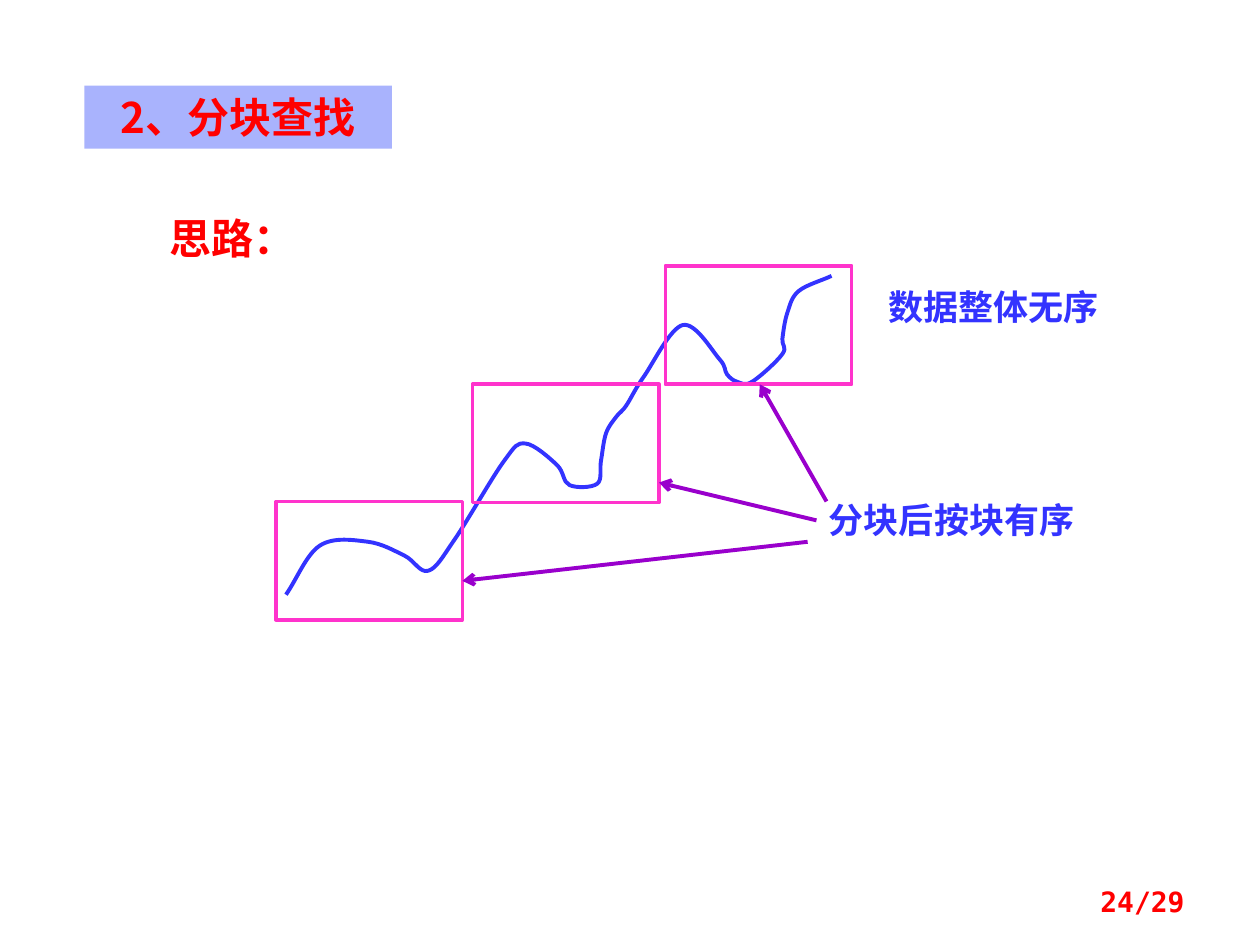
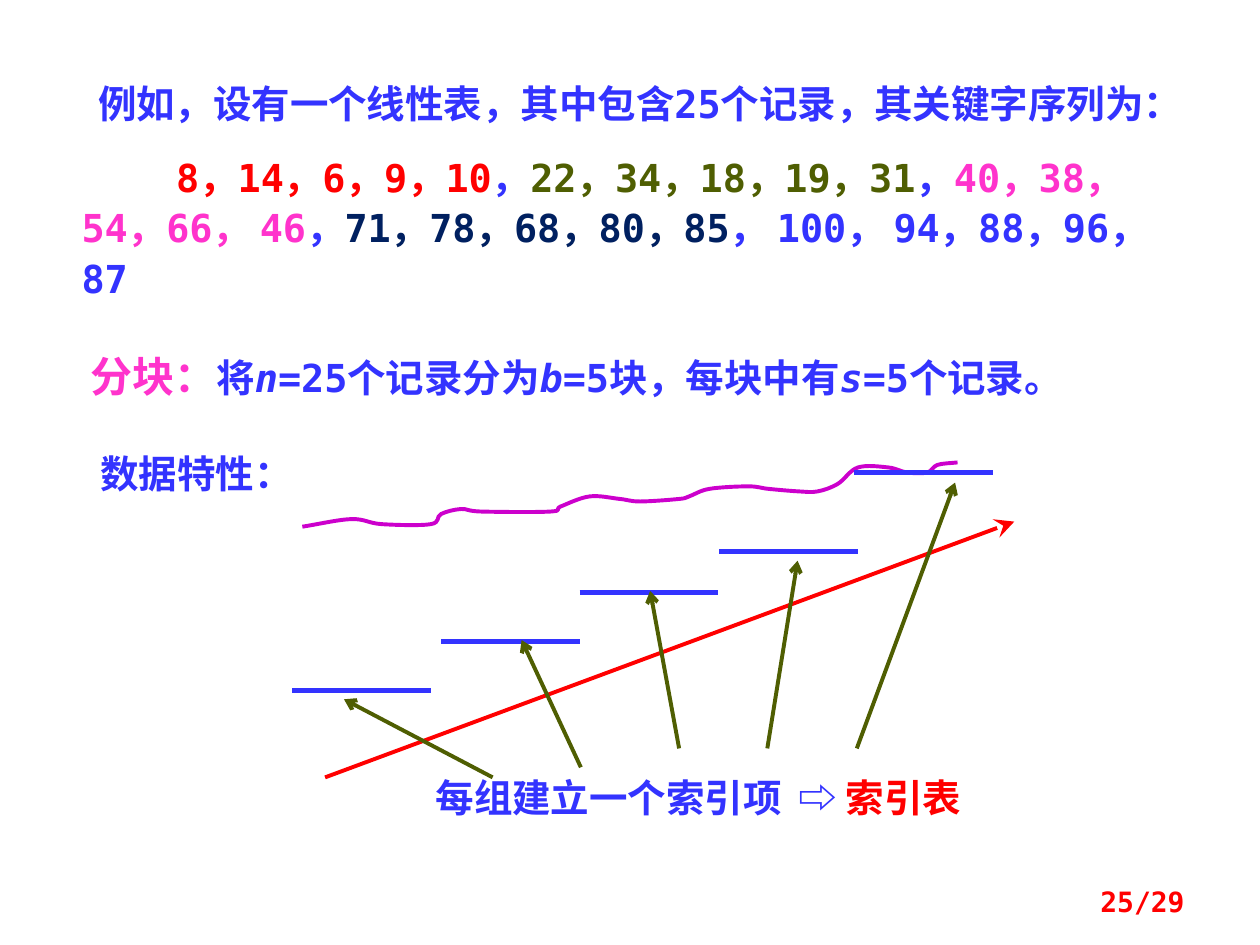
from dataclasses import dataclass
from typing import NamedTuple

from lxml import etree
from pptx import Presentation
from pptx import util as u
from pptx.dml.color import RGBColor
from pptx.enum import shapes, text
from pptx.oxml import ns

# Shared look
RED = RGBColor(0xFF, 0x00, 0x00)
BLUE = RGBColor(0x33, 0x33, 0xFF)
PINK = RGBColor(0xFF, 0x33, 0xCC)
PURPLE = RGBColor(0x99, 0x00, 0xCC)
MAGENTA = RGBColor(0xCC, 0x00, 0xCC)
OLIVE = RGBColor(0x4F, 0x5E, 0x02)
NAVY = RGBColor(0x00, 0x20, 0x60)
BAND = RGBColor(0xA9, 0xB3, 0xFD)
HAN = "Noto Sans CJK SC"
MONO = "DejaVu Sans Mono"
PAGE_COUNT = 29
TITLE_ONLY, BLANK = 5, 6


class Point(NamedTuple):
    x: float
    y: float


class Area(NamedTuple):
    left: float
    top: float
    width: float
    height: float

    def inches(self) -> list:
        return [u.Inches(value) for value in self]


class Span(NamedTuple):
    text: str
    color: RGBColor | None = None
    size: float | None = None
    italic: bool = False


@dataclass
class Para:
    spans: list[Span]
    size: float
    color: RGBColor = BLUE
    font: str = HAN
    align: text.PP_ALIGN = text.PP_ALIGN.LEFT
    indent: float = 0
    tab: float = 0
    before: float = 0
    spacing: float | None = None


@dataclass
class Line:
    start: Point
    end: Point
    color: RGBColor
    width: float = 2.25
    head: str = ""
    head_size: str = "med"


# Text
def fill_para(para, content: Para) -> None:
    props = para._p.get_or_add_pPr()
    if content.indent:
        props.set("marL", "0")
        props.set("indent", str(u.Inches(content.indent)))
    if content.spacing:
        para.line_spacing = content.spacing
    if content.before:
        para.space_before = u.Pt(content.before)
    if content.tab:
        stops = etree.SubElement(props, ns.qn("a:tabLst"))
        etree.SubElement(stops, ns.qn("a:tab"), pos=str(u.Inches(content.tab)), algn="l")
    para.alignment = content.align
    para.font.size = u.Pt(content.size)
    para.font.bold = True
    para.font.color.rgb = content.color
    para.font.name = content.font
    defaults = props.find(ns.qn("a:defRPr"))
    etree.SubElement(defaults, ns.qn("a:ea"), typeface=HAN)
    for span in content.spans:
        run = para.add_run()
        run.text = span.text
        if span.color is not None:
            run.font.color.rgb = span.color
        if span.size:
            run.font.size = u.Pt(span.size)
        if span.italic:
            run.font.italic = True


def fill_frame(box, paras: list[Para], anchor=text.MSO_ANCHOR.TOP) -> None:
    frame = box.text_frame
    frame.word_wrap = True
    frame.auto_size = text.MSO_AUTO_SIZE.NONE
    frame.vertical_anchor = anchor
    for index, content in enumerate(paras):
        fill_para(frame.add_paragraph() if index else frame.paragraphs[0], content)


def add_text(page, area: Area, *paras: Para, anchor=text.MSO_ANCHOR.TOP) -> None:
    fill_frame(page.shapes.add_textbox(*area.inches()), list(paras), anchor)


def add_title(page, area: Area, wording: str) -> None:
    title = page.shapes.title
    title.left, title.top, title.width, title.height = area.inches()
    title.fill.solid()
    title.fill.fore_color.rgb = BAND
    para = Para([Span(wording)], 24, RED, align=text.PP_ALIGN.CENTER)
    fill_frame(title, [para], text.MSO_ANCHOR.MIDDLE)


def add_page_number(page, number: int) -> None:
    para = Para([Span(f"{number}/{PAGE_COUNT}")], 16, RED, MONO, text.PP_ALIGN.RIGHT)
    add_text(page, Area(7.17, 6.95, 2.33, 0.4), para, anchor=text.MSO_ANCHOR.MIDDLE)


# Drawing
def add_line(page, line: Line) -> None:
    ends = [u.Inches(value) for value in (*line.start, *line.end)]
    connector = page.shapes.add_connector(shapes.MSO_CONNECTOR.STRAIGHT, *ends)
    connector.line.color.rgb = line.color
    connector.line.width = u.Pt(line.width)
    if line.head:
        size = line.head_size
        outline = connector.line._get_or_add_ln()
        etree.SubElement(outline, ns.qn("a:tailEnd"), type=line.head, w=size, len=size)
    etree.SubElement(connector._element.spPr, ns.qn("a:effectLst"))


def add_block(page, area: Area) -> None:
    block = page.shapes.add_shape(shapes.MSO_SHAPE.RECTANGLE, *area.inches())
    block.shadow.inherit = False
    block.fill.background()
    block.line.color.rgb = PINK
    block.line.width = u.Pt(2)


def bend(outline) -> None:
    """Turn the straight segments of a freeform into a Catmull-Rom curve."""
    knots = [Point(int(pt.get("x")), int(pt.get("y"))) for pt in outline.iter(ns.qn("a:pt"))]
    first = Point(2 * knots[0].x - knots[1].x, 2 * knots[0].y - knots[1].y)
    last = Point(2 * knots[-1].x - knots[-2].x, 2 * knots[-1].y - knots[-2].y)
    chain = [first, *knots, last]
    segments = list(outline.iter(ns.qn("a:lnTo")))
    for segment, a, b, c, d in zip(segments, chain, chain[1:], chain[2:], chain[3:]):
        leave = Point(b.x + (c.x - a.x) / 6, b.y + (c.y - a.y) / 6)
        arrive = Point(c.x - (d.x - b.x) / 6, c.y - (d.y - b.y) / 6)
        cubic = etree.Element(ns.qn("a:cubicBezTo"))
        for point in (leave, arrive, c):
            etree.SubElement(cubic, ns.qn("a:pt"), x=str(round(point.x)), y=str(round(point.y)))
        segment.getparent().replace(segment, cubic)


def add_curve(page, knots: list[tuple[float, float]], color: RGBColor) -> None:
    points = [(u.Inches(x), u.Inches(y)) for x, y in knots]
    builder = page.shapes.build_freeform(*points[0])
    builder.add_line_segments(points[1:], close=False)
    curve = builder.convert_to_shape()
    bend(curve._element.spPr)
    curve.shadow.inherit = False
    curve.fill.background()
    curve.line.color.rgb = color
    curve.line.width = u.Pt(2.25)


# Slide content
BLOCK_CORNERS = [(2.19, 3.98), (3.75, 3.05), (5.28, 2.11)]
BLOCK_CURVE = [
    (2.27, 4.72), (2.54, 4.33), (2.92, 4.3), (3.21, 4.41), (3.4, 4.53), (3.61, 4.28),
    (4, 3.66), (4.17, 3.52), (4.42, 3.69), (4.52, 3.85), (4.74, 3.84), (4.77, 3.66),
    (4.81, 3.44), (4.89, 3.31), (4.97, 3.22), (5.11, 2.99), (5.42, 2.58), (5.71, 2.85),
    (5.77, 2.97), (5.85, 3.03), (5.97, 3.03), (6.21, 2.81), (6.21, 2.69), (6.25, 2.48),
    (6.34, 2.31), (6.6, 2.19),
]
BLOCK_ARROWS = [
    (Point(6.41, 4.3), Point(3.67, 4.61)),
    (Point(6.48, 4.13), Point(5.23, 3.83)),
    (Point(6.56, 3.98), Point(6.03, 3.05)),
]
DATA_CURVE = [
    (2.4, 4.18), (2.79, 4.12), (3.03, 4.16), (3.42, 4.16), (3.5, 4.08), (3.66, 4.04),
    (3.82, 4.06), (4.37, 4.06), (4.45, 4.02), (4.68, 3.94), (4.92, 3.96), (5.08, 3.98),
    (5.39, 3.96), (5.47, 3.94), (5.63, 3.88), (5.94, 3.86), (6.1, 3.88), (6.34, 3.9),
    (6.49, 3.9), (6.65, 3.84), (6.81, 3.71), (7.05, 3.71), (7.2, 3.75), (7.36, 3.75),
    (7.44, 3.69), (7.6, 3.67),
]
STEP_WIDTH = 1.1
STEPS = [Point(2.32, 5.48), Point(3.5, 5.09), Point(4.6, 4.7), Point(5.71, 4.38), Point(6.78, 3.75)]
INDEX_ARROWS = [
    (Point(3.91, 6.17), Point(2.73, 5.55)),
    (Point(4.61, 6.09), Point(4.14, 5.08)),
    (Point(5.39, 5.94), Point(5.16, 4.69)),
    (Point(6.09, 5.94), Point(6.33, 4.45)),
    (Point(6.8, 5.94), Point(7.58, 3.83)),
]
KEYS = [
    Span("8，14，6，9，10", RED), Span("，"),
    Span("22，34，18，19，31", OLIVE), Span("，"),
    Span("40，38，54，66， 46", PINK), Span("，"),
    Span("71，78，68，80，85", NAVY), Span("， 100， 94，88，96，87"),
]
SPLIT = [
    Span("分块：", PINK, 24), Span("将"), Span("n", italic=True), Span("=25个记录分为"),
    Span("b", italic=True), Span("=5块，每块中有"), Span("s", italic=True), Span("=5个记录。"),
]


def build_idea(deck) -> None:
    page = deck.slides.add_slide(deck.slide_layouts[TITLE_ONLY])
    add_title(page, Area(0.67, 0.68, 2.44, 0.5), "2、分块查找")
    add_text(page, Area(1.25, 1.64, 1.52, 0.5), Para([Span("思路：")], 24, RED))
    add_curve(page, BLOCK_CURVE, BLUE)
    for left, top in BLOCK_CORNERS:
        add_block(page, Area(left, top, 1.48, 0.94))
    add_text(page, Area(6.95, 2.22, 2.11, 0.44), Para([Span("数据整体无序")], 20))
    add_text(page, Area(6.48, 3.91, 2.58, 0.44), Para([Span("分块后按块有序")], 20))
    for start, end in BLOCK_ARROWS:
        add_line(page, Line(start, end, PURPLE, head="arrow"))
    add_page_number(page, 24)


def build_example(deck) -> None:
    page = deck.slides.add_slide(deck.slide_layouts[BLANK])
    # Key sequence and its split into blocks
    intro = Span("例如，设有一个线性表，其中包含25个记录，其关键字序列为：")
    add_text(
        page, Area(0.55, 0.55, 8.7, 1.56),
        Para([intro], 22, font=MONO, indent=0.13, spacing=1.1),
        Para(KEYS, 22, font=MONO, indent=0.75, before=13, spacing=1.1),
    )
    add_text(page, Area(0.62, 2.73, 8.91, 0.5), Para(SPLIT, 22, font=MONO))
    # Data trend
    add_curve(page, DATA_CURVE, MAGENTA)
    for step in STEPS:
        add_line(page, Line(step, Point(step.x + STEP_WIDTH, step.y), BLUE, 3))
    add_line(page, Line(Point(2.58, 6.17), Point(8.05, 4.14), RED, head="stealth", head_size="lg"))
    add_text(page, Area(0.7, 3.52, 2.11, 0.47), Para([Span("数据特性：")], 22))
    # Index entries
    index = [Span("每组建立一个索引项\t⇨ "), Span("索引表", RED)]
    add_text(page, Area(3.36, 6.09, 5, 0.47), Para(index, 22, font=MONO, tab=2.88))
    for start, end in INDEX_ARROWS:
        add_line(page, Line(start, end, OLIVE, head="arrow"))
    add_page_number(page, 25)


def main() -> None:
    deck = Presentation()
    deck.slide_width, deck.slide_height = u.Inches(10), u.Inches(7.5)
    build_idea(deck)
    build_example(deck)
    deck.save("out.pptx")


if __name__ == "__main__":
    main()
